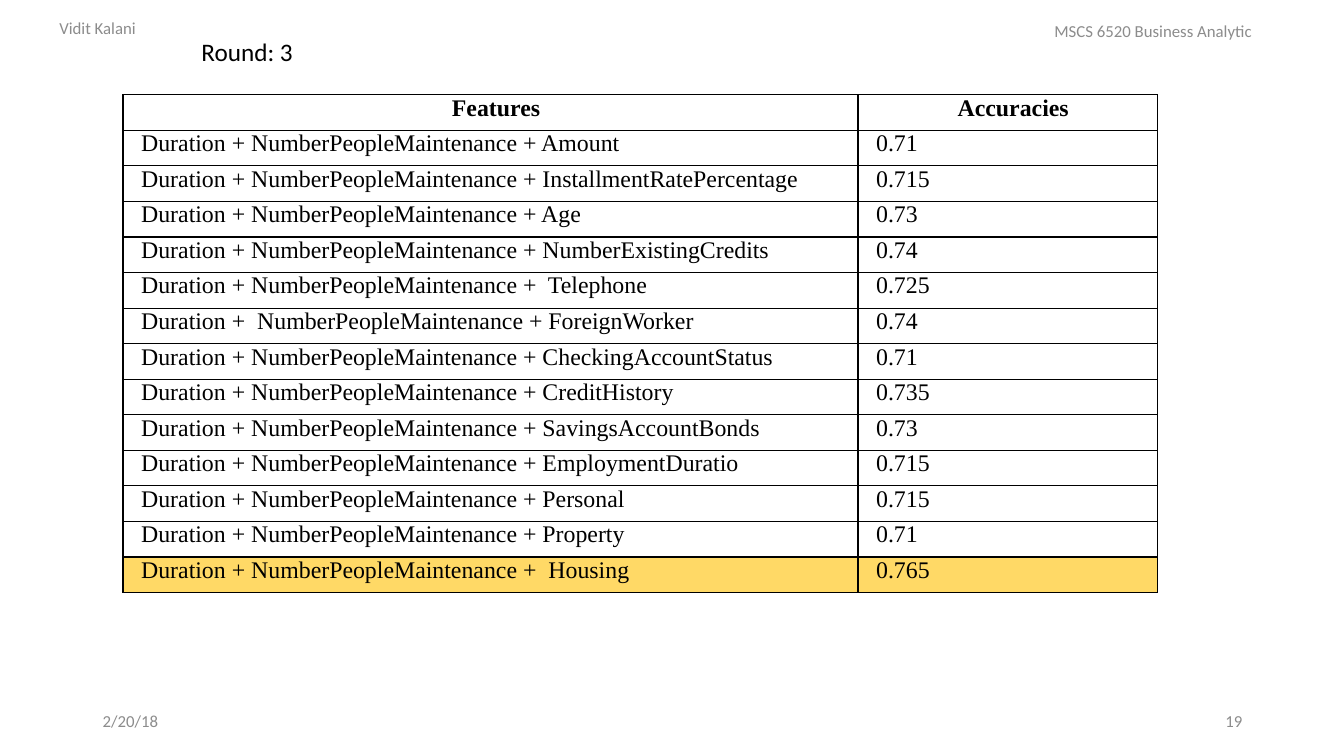
from dataclasses import dataclass

from lxml.etree import SubElement
from pptx import Presentation
from pptx.dml.color import RGBColor
from pptx.enum.text import MSO_ANCHOR, PP_ALIGN
from pptx.oxml.ns import qn
from pptx.util import Inches, Pt


@dataclass
class Theme:
    black: str = "000000"
    grey: str = "8C8C8C"
    gold: str = "FFD966"
    sans: str = "Calibri"
    serif: str = "Times New Roman"
    small: int = 12
    body: int = 17
    title: int = 18


theme = Theme()


def write(frame, text, size=theme.small, font=theme.sans, color=theme.grey,
          bold=False, align=PP_ALIGN.LEFT, indent=0, after=0):
    para = frame.paragraphs[0]
    para.alignment = align
    para.space_after = Pt(after)
    props = para._p.get_or_add_pPr()
    props.set("marL", str(Inches(indent)))
    props.set("indent", "0")
    run = para.add_run()
    run.text = text
    run.font.size = Pt(size)
    run.font.name = font
    run.font.bold = bold
    run.font.color.rgb = RGBColor.from_string(color)


def border(cell):
    props = cell._tc.get_or_add_tcPr()
    for side in ("lnL", "lnR", "lnT", "lnB"):
        line = SubElement(props, qn(f"a:{side}"), w=str(Pt(1)))
        fill = SubElement(line, qn("a:solidFill"))
        SubElement(fill, qn("a:srgbClr"), val=theme.black)


deck = Presentation()
deck.slide_width = Inches(13.33)
deck.slide_height = Inches(7.5)
slide = deck.slides.add_slide(deck.slide_layouts[6])

# Header, footer and title
left, right = PP_ALIGN.LEFT, PP_ALIGN.RIGHT
middle, top = MSO_ANCHOR.MIDDLE, MSO_ANCHOR.TOP
small = {}
title = {"size": theme.title, "color": theme.black}
labels = [
    ("2/20/18", 0.92, 6.95, 3, left, middle, small),
    ("19", 9.42, 6.95, 3, right, middle, small),
    ("Round: 3", 1.9, 0.31, 8.9, left, top, title),
    ("Vidit Kalani", 0.49, 0.08, 3, left, middle, small),
    ("MSCS 6520 Business Analytic", 10.36, 0.11, 3.14, left, middle, small),
]
for text, x, y, width, align, anchor, style in labels:
    box = slide.shapes.add_textbox(Inches(x), Inches(y), Inches(width), Inches(0.4))
    frame = box.text_frame
    frame.word_wrap = True
    frame.vertical_anchor = anchor
    write(frame, text, align=align, **style)

# Table of features and accuracies
rows = [
    ("Features", "Accuracies"),
    ("Duration + NumberPeopleMaintenance + Amount", "0.71"),
    ("Duration + NumberPeopleMaintenance + InstallmentRatePercentage", "0.715"),
    ("Duration + NumberPeopleMaintenance + Age", "0.73"),
    ("Duration + NumberPeopleMaintenance + NumberExistingCredits", "0.74"),
    ("Duration + NumberPeopleMaintenance +  Telephone", "0.725"),
    ("Duration +  NumberPeopleMaintenance + ForeignWorker", "0.74"),
    ("Duration + NumberPeopleMaintenance + CheckingAccountStatus", "0.71"),
    ("Duration + NumberPeopleMaintenance + CreditHistory", "0.735"),
    ("Duration + NumberPeopleMaintenance + SavingsAccountBonds", "0.73"),
    ("Duration + NumberPeopleMaintenance + EmploymentDuratio", "0.715"),
    ("Duration + NumberPeopleMaintenance + Personal", "0.715"),
    ("Duration + NumberPeopleMaintenance + Property", "0.71"),
    ("Duration + NumberPeopleMaintenance +  Housing", "0.765"),
]
widths = (7.29, 2.97)
table = slide.shapes.add_table(
    len(rows), len(widths), Inches(1.22), Inches(0.94),
    Inches(sum(widths)), Inches(4.94)).table
table.first_row = table.horz_banding = False
for col, width in zip(table.columns, widths):
    col.width = Inches(width)

best = len(rows) - 1
for r, row in enumerate(rows):
    head = r == 0
    for c, text in enumerate(row):
        cell = table.cell(r, c)
        cell.margin_left = cell.margin_right = Inches(0.07)
        cell.margin_top = cell.margin_bottom = 0
        border(cell)
        if r == best:
            cell.fill.solid()
            cell.fill.fore_color.rgb = RGBColor.from_string(theme.gold)
        else:
            cell.fill.background()
        write(cell.text_frame, text, size=theme.body, font=theme.serif,
              color=theme.black, bold=head, indent=0.11, after=1.1,
              align=PP_ALIGN.CENTER if head else left)

deck.save("out.pptx")
